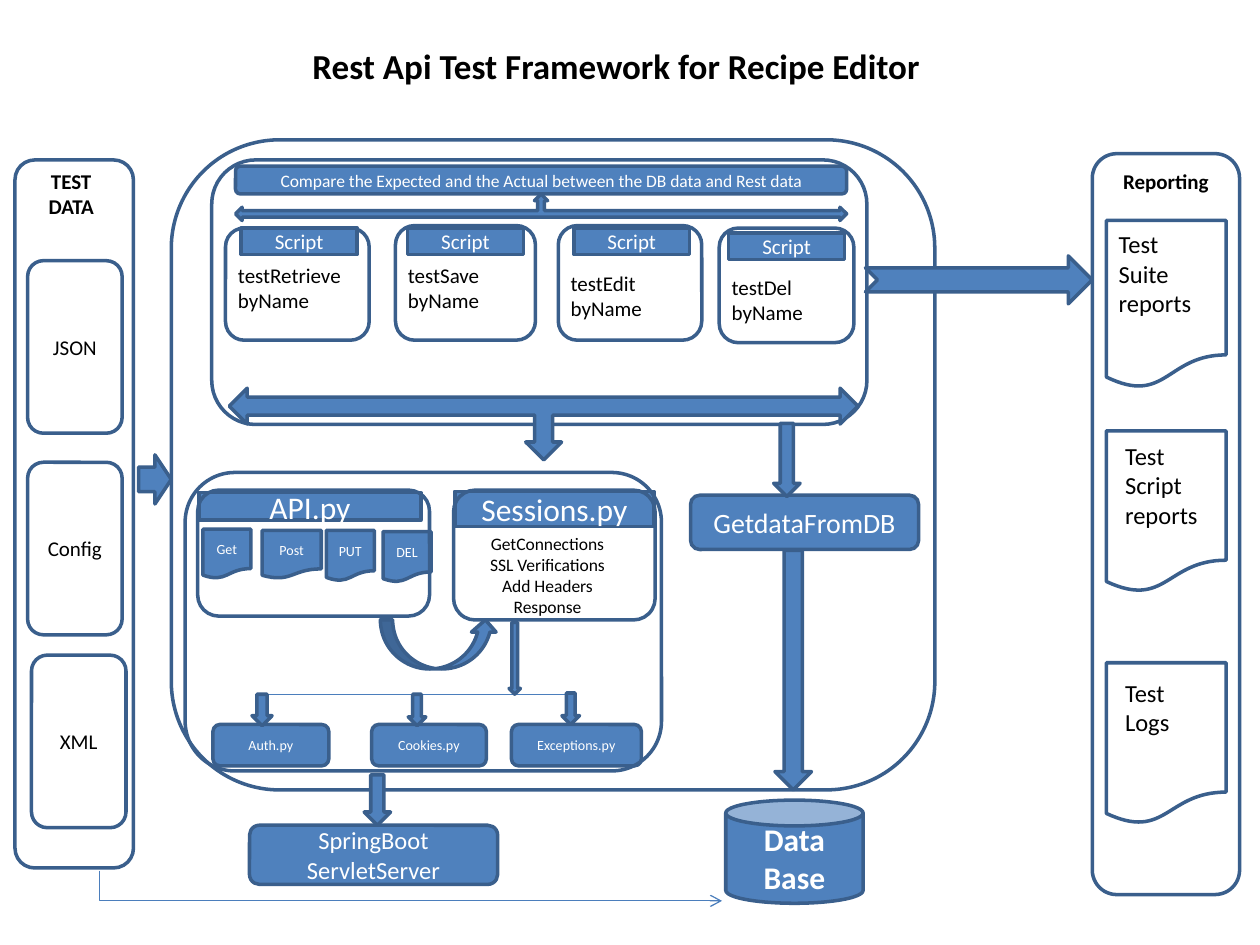
from pptx import Presentation
from pptx.util import Pt
from pptx.dml.color import RGBColor
from pptx.enum import shapes, text
from pptx.oxml import ns
from lxml import etree

BLUE = RGBColor(0x4F, 0x81, 0xBD)
EDGE = RGBColor(0x3A, 0x5F, 0x8C)
THIN = RGBColor(0x4B, 0x7E, 0xBC)
WHITE = RGBColor(255, 255, 255)
BLACK = RGBColor(0, 0, 0)
KIND = shapes.MSO_SHAPE
ROUND, RECT, DOC = KIND.ROUNDED_RECTANGLE, KIND.RECTANGLE, KIND.FLOWCHART_DOCUMENT
DOWN = KIND.DOWN_ARROW
MID, LEFT = text.PP_ALIGN.CENTER, text.PP_ALIGN.LEFT

deck = Presentation()
deck.slide_width, deck.slide_height = Pt(720), Pt(540)
slide = deck.slides.add_slide(deck.slide_layouts[6])
items = slide.shapes


def write(frame, words, size, color, align=MID, bold=False):
    frame.word_wrap = True
    frame.text = words
    for para in frame.paragraphs:
        para.alignment = align
        para.font.name = "Calibri"
        para.font.size = Pt(size)
        para.font.bold = bold
        para.font.color.rgb = color


def draw(kind, box, words="", size=12, fill=BLUE, bold=False):
    shape = items.add_shape(kind, *[Pt(v) for v in box])
    shape.shadow.inherit = False
    shape.line.color.rgb = EDGE
    shape.line.width = Pt(2)
    if fill is None:
        shape.fill.background()
    else:
        shape.fill.solid()
        shape.fill.fore_color.rgb = fill
    if words:
        frame = shape.text_frame
        frame.margin_left = frame.margin_right = 0
        write(frame, words, size, WHITE if fill else BLACK, bold=bold)
    return shape


# Outer frames: framework, test data, reporting
for box in [(97.9, 79.9, 436.3, 371.5), (8.6, 91.4, 67.7, 404.6),
            (624.2, 87.8, 84.2, 423.4)]:
    draw(ROUND, box, fill=None)

# Test data sources
for x, y, name in [(15.8, 149, "JSON"), (15.8, 264.2, "Config"), (18, 374.4, "XML")]:
    draw(ROUND, (x, y, 54, 98.6), name, fill=None)
draw(KIND.RIGHT_ARROW, (79.2, 259.9, 18.7, 28.1))

# Report documents
for y, high in [(126, 95.8), (246.2, 92.2), (378.7, 92.2)]:
    draw(DOC, (632.2, y, 68.4, high), fill=None)

# API and session modules
draw(RECT, (113.8, 281.5, 126.7, 15.8), "API.py", 18)
draw(RECT, (259.9, 280.8, 113.8, 20.2), "Sessions.py", 18)
for x, y, wide, high, verb in [(115.9, 302.4, 27.4, 28.1, "Get"),
                               (149.8, 303.1, 33.8, 27.4, "Post"),
                               (186.5, 303.1, 27.4, 28.8, "PUT"),
                               (218.9, 303.8, 27.4, 28.8, "DEL")]:
    draw(DOC, (x, y, wide, high), verb, 8)
for x, wide, name in [(121.7, 66.2, "Auth.py"), (212.4, 65.5, "Cookies.py"),
                      (292.3, 74.2, "Exceptions.py")]:
    draw(ROUND, (x, 414, wide, 23.6), name, 8)
for box in [(105.8, 270, 272.2, 170.6), (259.2, 280.1, 115.2, 74.2),
            (113, 280.1, 132.5, 72)]:
    draw(ROUND, box, fill=None)
draw(KIND.CURVED_UP_ARROW, (217.4, 354.2, 67, 28.1))

# Thin lines: helper branch and test data to database
branch = items.add_connector(shapes.MSO_CONNECTOR.STRAIGHT,
                             Pt(152.6), Pt(396.7), Pt(327.6), Pt(396.7))
route = items.add_connector(shapes.MSO_CONNECTOR.ELBOW,
                            Pt(243.4), Pt(328.3), Pt(226.1), Pt(684))
for line in (branch, route):
    line.line.color.rgb = THIN
    line.line.width = Pt(0.75)
    etree.SubElement(line._element.spPr, ns.qn("a:effectLst"))
props = route._element.spPr
props.find(ns.qn("a:xfrm")).set("rot", "16200000")
props.find(ns.qn("a:prstGeom")).set("prst", "bentConnector2")
etree.SubElement(props.find(ns.qn("a:ln")), ns.qn("a:tailEnd"), type="arrow")

# Test scripts
for x, y, wide, high, top, low, name in [
        (128.9, 130.3, 82.1, 64.1, 130.3, 146.2, "testRetrieve"),
        (226, 128.9, 80, 65.5, 130.3, 146.2, "testSave"),
        (319, 128.9, 82, 65.5, 130.3, 151.2, "testEdit"),
        (411, 130.3, 77, 65.5, 133.2, 153.4, "testDel")]:
    draw(ROUND, (x, y, wide, high), fill=None)
    draw(RECT, (x + (wide - 66.2) / 2 + (1 if wide > 80 else 0), top, 66.2, 15.1),
         "Script")
    label = items.add_textbox(Pt(x), Pt(low), Pt(wide + 2), Pt(36))
    write(label.text_frame, name + "\nbyName", 12, BLACK, LEFT)
draw(ROUND, (121, 91.4, 374.4, 151.2), fill=None)
draw(ROUND, (134.6, 95, 349.2, 15.8),
     "Compare the Expected and the Actual between the DB data and Rest data", 10)

# Services and database
draw(ROUND, (394.6, 283, 130.3, 31), "GetdataFromDB", 16)
draw(ROUND, (142.6, 471.6, 141.8, 33.8), "SpringBoot\nServletServer", 14)
draw(KIND.CAN, (414.7, 457.2, 78.5, 59), "Data\nBase", 18, bold=True)

# Block arrows
for box in [(144, 396.7, 11.5, 18), (233.3, 396.7, 10.1, 18), (321.1, 396, 10.1, 18),
            (290.9, 355.7, 6.5, 41), (442.1, 241.9, 15.1, 41.8),
            (442.8, 314.6, 20.9, 136.8), (208.1, 442.8, 15.1, 28.8)]:
    draw(DOWN, box)
draw(KIND.LEFT_RIGHT_UP_ARROW, (134.6, 110.9, 349.2, 15.1))
split = draw(KIND.LEFT_RIGHT_UP_ARROW, (131, 221.8, 359.3, 41))
split.rotation = 180
draw(KIND.NOTCHED_RIGHT_ARROW, (494.6, 146.2, 129.6, 27.4))

# Free text
for box, words, size, align, bold in [
        ((72, 22, 560.2, 30), "Rest Api Test Framework for Recipe Editor", 20, MID, True),
        ((9.4, 92.9, 62.6, 36), "TEST\nDATA", 12, MID, True),
        ((624.2, 92.9, 84.2, 21.6), "Reporting", 12, MID, True),
        ((632.2, 127.4, 60.5, 72), "Test Suite reports", 14, LEFT, False),
        ((635.8, 248.4, 60.5, 72), "Test Script reports", 14, LEFT, False),
        ((635.8, 383.8, 60.5, 51.1), "Test Logs", 14, LEFT, False),
        ((266.4, 301, 92.9, 55.4),
         "GetConnections\nSSL Verifications\nAdd Headers\nResponse", 10, MID, False)]:
    label = items.add_textbox(*[Pt(v) for v in box])
    write(label.text_frame, words, size, BLACK, align, bold)

deck.save("out.pptx")
